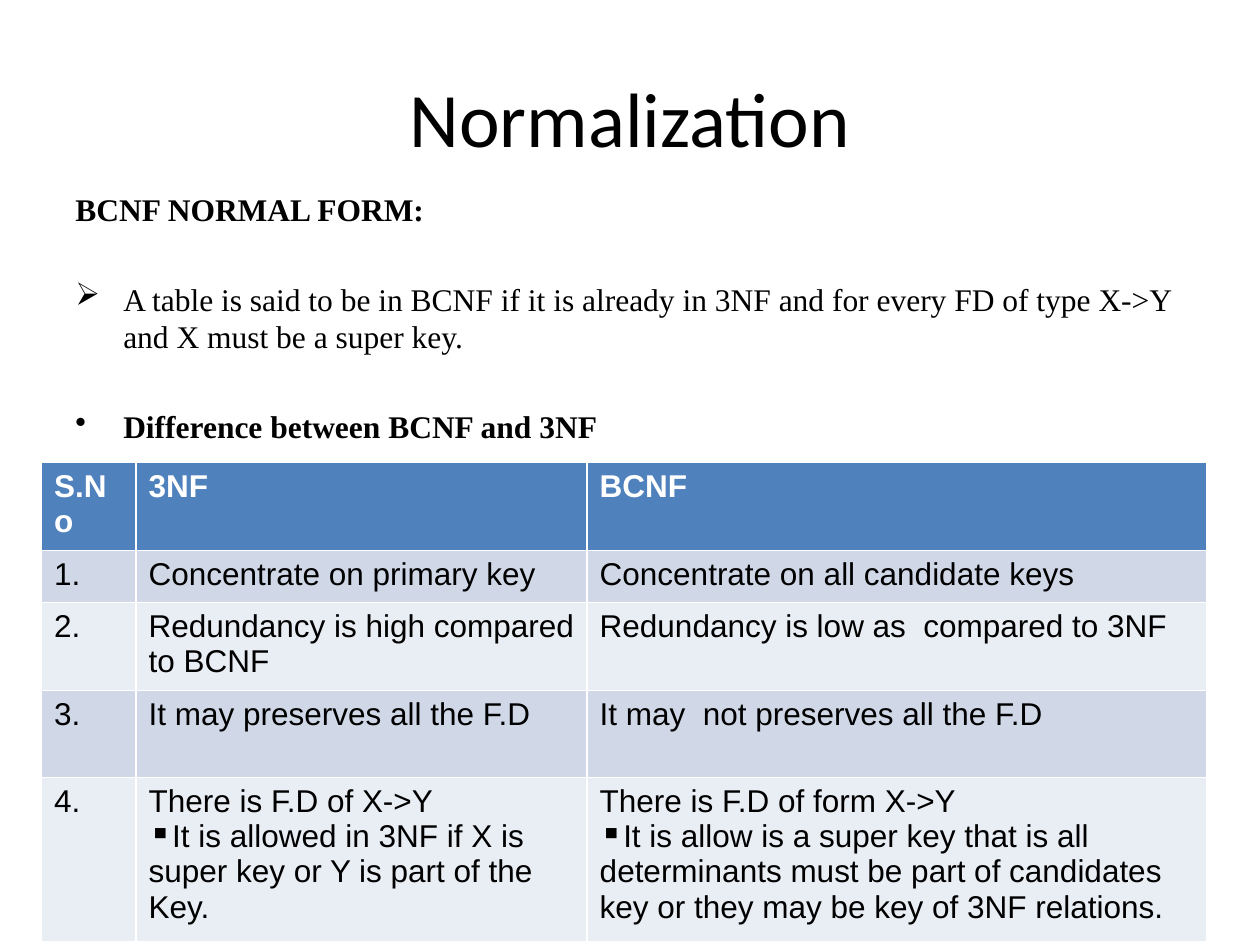
from lxml.etree import SubElement
from pptx import Presentation
from pptx.dml.color import RGBColor
from pptx.enum.text import MSO_ANCHOR, PP_ALIGN
from pptx.oxml.ns import qn
from pptx.util import Inches, Pt

COLORS = {"ink": "000000", "white": "FFFFFF", "header": "4F81BD",
          "odd": "D0D8E8", "even": "E9EDF4"}

# Content
TITLE = "Normalization"
POINTS = [  # bullet, text, bold
    (None, "BCNF NORMAL FORM:", True),
    ("➢", "A table is said to be in BCNF if it is already in 3NF and for every "
          "FD of type X->Y and X must be a super key.", False),
    ("•", "Difference between BCNF and 3NF", True),
]
# Later lines of a cell are bulleted
COMPARISON = [
    ("S.No", "3NF", "BCNF"),
    ("1.", "Concentrate on primary key", "Concentrate on all candidate keys"),
    ("2.", "Redundancy is high compared to BCNF",
     "Redundancy is low as  compared to 3NF"),
    ("3.", "It may preserves all the F.D", "It may  not preserves all the F.D"),
    ("4.", "There is F.D of X->Y\n"
           "It is allowed in 3NF if X is super key or Y is part of the Key.",
     "There is F.D of form X->Y\n"
     "It is allow is a super key that is all determinants must be part of "
     "candidates key or they may be key of 3NF relations."),
]
COLUMN_WIDTHS = (0.75, 3.58, 4.92)
ROW_HEIGHTS = (0.65, 0.41, 0.68, 0.69, 1.21)


def set_font(paragraph, name, size, color, bold=False):
    for run in paragraph.runs:
        run.font.name, run.font.size, run.font.bold = name, Pt(size), bold
        run.font.color.rgb = RGBColor.from_string(COLORS[color])


def set_bullet(paragraph, char, indent=0):
    props = paragraph._p.get_or_add_pPr()
    props.set("marL", str(Inches(indent)))
    props.set("indent", str(-Inches(indent)))
    if char:
        SubElement(props, qn("a:buChar")).set("char", char)
    else:
        SubElement(props, qn("a:buNone"))


def add_text_frame(slide, left, top, width, height):
    box = slide.shapes.add_textbox(*map(Inches, (left, top, width, height)))
    box.text_frame.word_wrap = True
    return box.text_frame


def add_title(slide):
    title = add_text_frame(slide, 0.5, 0.3, 9, 1.25)
    title.vertical_anchor = MSO_ANCHOR.MIDDLE
    title.text = TITLE
    title.paragraphs[0].alignment = PP_ALIGN.CENTER
    set_font(title.paragraphs[0], "Calibri", 44, "ink")


def add_points(slide):
    body = add_text_frame(slide, 0.5, 1.46, 9.08, 2.15)
    body.text = "\n".join(text for _, text, _ in POINTS)
    for i, (point, (bullet, _, bold)) in enumerate(zip(body.paragraphs, POINTS)):
        if i:
            point.space_before = Pt(29.5)
        set_bullet(point, bullet, 0.38)
        set_font(point, "Times New Roman", 18, "ink", bold)


def add_comparison(slide):
    table = slide.shapes.add_table(
        len(COMPARISON), len(COLUMN_WIDTHS), Inches(0.33), Inches(3.67),
        Inches(sum(COLUMN_WIDTHS)), Inches(sum(ROW_HEIGHTS))).table
    for column, width in zip(table.columns, COLUMN_WIDTHS):
        column.width = Inches(width)
    for r, (row, height) in enumerate(zip(table.rows, ROW_HEIGHTS)):
        row.height = Inches(height)
        is_header = r == 0
        fill = "header" if is_header else "odd" if r % 2 else "even"
        for cell, text in zip(row.cells, COMPARISON[r]):
            cell.fill.solid()
            cell.fill.fore_color.rgb = RGBColor.from_string(COLORS[fill])
            cell.text_frame.text = text
            for i, line in enumerate(cell.text_frame.paragraphs):
                if i:
                    set_bullet(line, "▪")
                set_font(line, "Arial", 18, "white" if is_header else "ink",
                         is_header)


def main():
    deck = Presentation()
    deck.slide_width, deck.slide_height = Inches(10), Inches(7.5)
    slide = deck.slides.add_slide(deck.slide_layouts[6])
    add_title(slide)
    add_points(slide)
    add_comparison(slide)
    deck.save("out.pptx")


if __name__ == "__main__":
    main()
